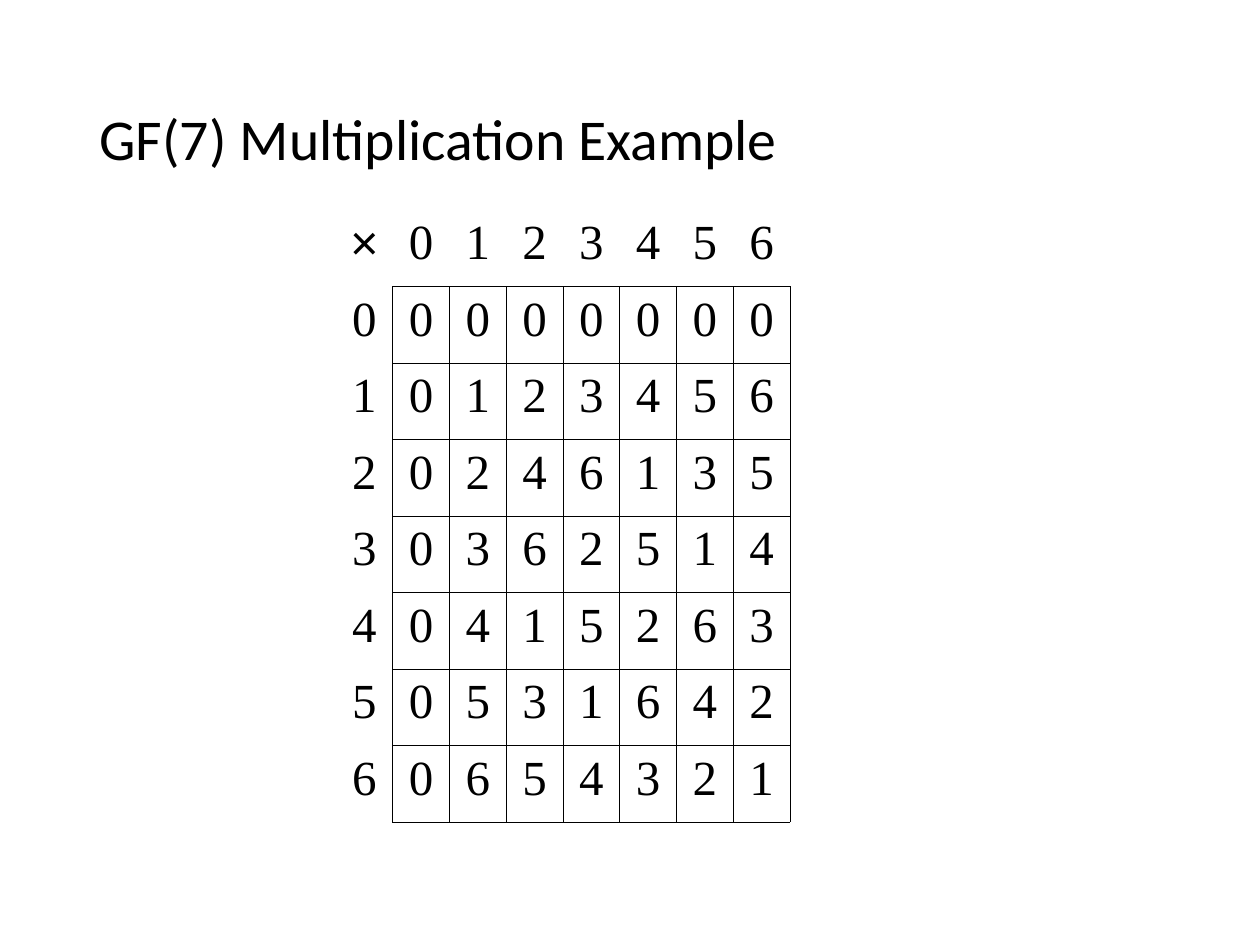
from lxml.etree import SubElement
from pptx import Presentation
from pptx.dml.color import RGBColor
from pptx.enum.text import MSO_ANCHOR, MSO_AUTO_SIZE, PP_ALIGN
from pptx.oxml.ns import qn
from pptx.util import Emu, Pt

PRIME = 7
SIZE = PRIME + 1
BLACK = "000000"


def px(n):
    return Emu(round(n * 914400 / 126))


def color(code):
    return RGBColor.from_string(code)


def put(item, values):
    for name, value in values.items():
        setattr(item, name, value)


def style(para, text, face, size, form):
    para.text = text
    put(para, form)
    put(para.font, {"name": face, "size": Pt(size), "bold": False})
    para.font.color.rgb = color(BLACK)


def add_title(slide, text):
    title = slide.shapes.title
    put(title, {"left": px(87), "top": px(50),
                "width": px(1087), "height": px(183)})
    frame = title.text_frame
    put(frame, {"vertical_anchor": MSO_ANCHOR.MIDDLE, "word_wrap": True,
                "auto_size": MSO_AUTO_SIZE.NONE})
    style(frame.paragraphs[0], text, "Calibri", 33,
          {"alignment": PP_ALIGN.LEFT, "line_spacing": 0.9})


def set_edges(cell, sides):
    # Sides named in the string get a thin line, the others none
    props = cell._tc.get_or_add_tcPr()
    for side in "LRTB":
        line = SubElement(props, qn("a:ln" + side), w=str(Pt(0.45)))
        if side in sides:
            fill = SubElement(line, qn("a:solidFill"))
            SubElement(fill, qn("a:srgbClr"), val=BLACK)
        else:
            SubElement(line, qn("a:noFill"))


def entry(row, col):
    """Return the text and the lined sides of a cell."""
    if row and col:
        return str((row - 1) * (col - 1) % PRIME), "LRTB"
    if row:
        return str(row - 1), "R"
    if col:
        return str(col - 1), "B"
    return "×", ""


def add_grid(slide):
    width, height = px(454), px(612)
    table = slide.shapes.add_table(
        SIZE, SIZE, px(336), px(210), width, height).table
    put(table, {"first_row": False, "horz_banding": False})
    for col in table.columns:
        col.width = width // SIZE
    for row in table.rows:
        row.height = height // SIZE

    for r in range(SIZE):
        for c in range(SIZE):
            cell = table.cell(r, c)
            text, sides = entry(r, c)
            face = "Times New Roman" if r or c else "Arial"
            style(cell.text_frame.paragraphs[0], text, face, 28,
                  {"alignment": PP_ALIGN.CENTER, "space_after": Pt(3)})
            set_edges(cell, sides)
            cell.fill.background()


def main():
    deck = Presentation()
    put(deck, {"slide_width": px(1260), "slide_height": px(945)})
    slide = deck.slides.add_slide(deck.slide_layouts[5])

    # Heading
    add_title(slide, "GF(7) Multiplication Example")
    # Products modulo the prime
    add_grid(slide)

    deck.save("out.pptx")


if __name__ == "__main__":
    main()
